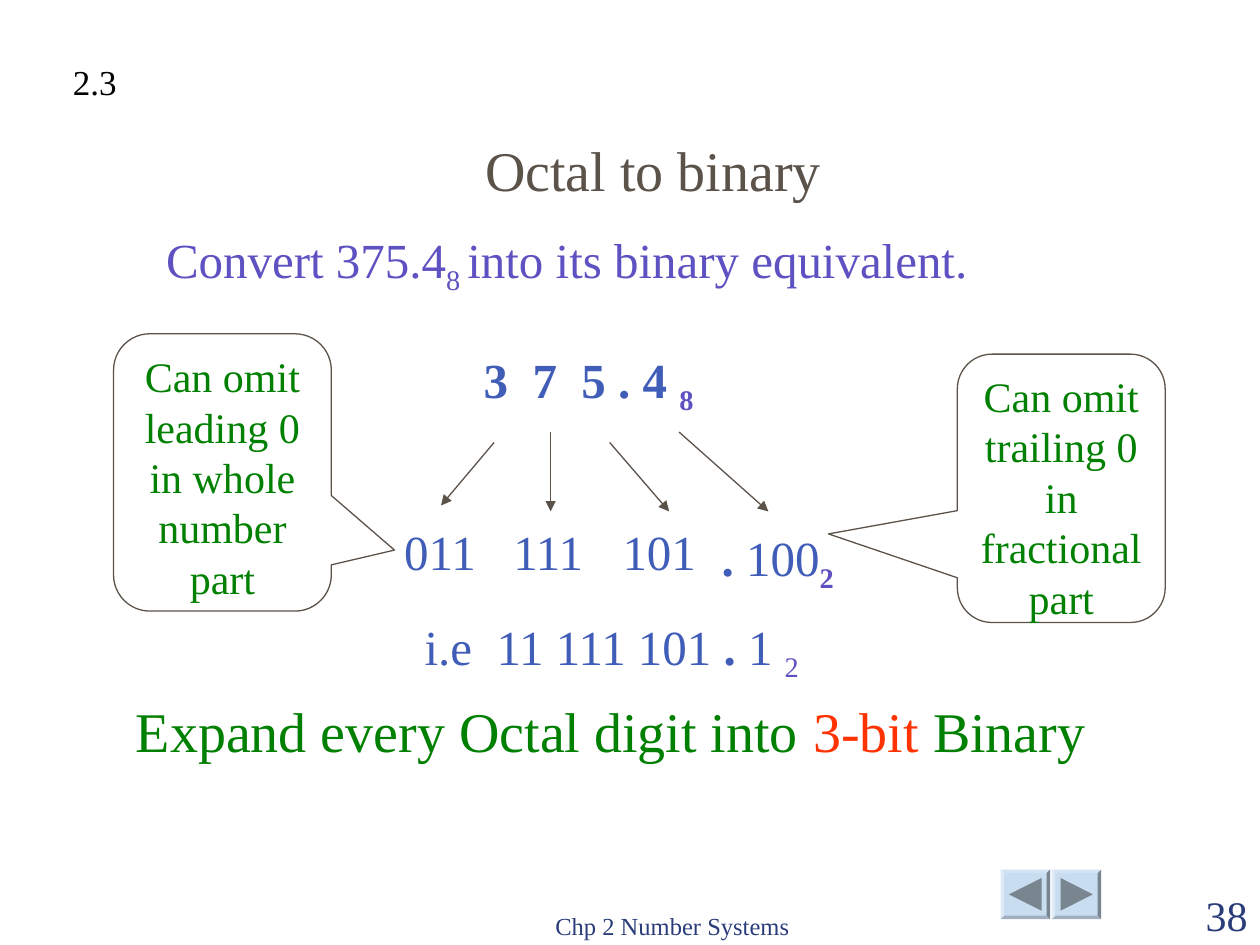
"""Build the slide on converting octal numbers to binary."""
from lxml import etree
from pptx import Presentation
from pptx import util as u
from pptx.dml.color import RGBColor
from pptx.enum import shapes, text
from pptx.oxml.ns import qn

BLUE, VIOLET, GREEN, BROWN, NAVY = "405DB8", "5E51C1", "008000", "5B5249", "2A3D7A"
LEFT, MID, RIGHT = text.PP_ALIGN.LEFT, text.PP_ALIGN.CENTER, text.PP_ALIGN.RIGHT
LOW = text.MSO_ANCHOR.BOTTOM


def tint(code):
    return RGBColor.from_string(code)


def write(runs, box=None, shape=None, size=28, color=BLUE, align=LEFT,
          anchor=text.MSO_ANCHOR.TOP, gap=None, wrap=True):
    """Write runs, each a string or (string, format), in a new box or a shape."""
    if shape is None:
        shape = deck.add_textbox(*map(u.Cm, box))
    frame = shape.text_frame
    frame.word_wrap, frame.vertical_anchor = wrap, anchor
    para = frame.paragraphs[0]
    para.alignment = align
    if gap:
        para.line_spacing = gap
    for item in [runs] if isinstance(runs, str) else runs:
        words, form = (item, {}) if isinstance(item, str) else item
        run = para.add_run()
        run.text = words
        run.font.name, run.font.size = "Times New Roman", u.Pt(size)
        run.font.bold = form.get("bold", False)
        run.font.color.rgb = tint(form.get("color", color))
        if form.get("sub"):
            run._r.get_or_add_rPr().set("baseline", "-25000")


show = Presentation()
show.slide_width, show.slide_height = u.Cm(25.4), u.Cm(19.05)
deck = show.slides.add_slide(show.slide_layouts[6]).shapes

# (left edge, x of the tip, x of the base)
for left, tip, base in [(20.17, 20.34, 21), (21.2, 22.03, 21.38)]:
    key = deck.add_shape(shapes.MSO_SHAPE.BEVEL, *map(u.Cm, (left, 17.53, 1, 1)))
    key.adjustments[0] = 0.07
    build = deck.build_freeform(u.Cm(tip), u.Cm(18.03))
    build.add_line_segments([(u.Cm(base), u.Cm(y)) for y in (17.7, 18.36)])
    mark = build.convert_to_shape()
    for part, fill in [(key, "C9DDF1"), (mark, "79858F")]:
        part.shadow.inherit = False
        part.fill.solid()
        part.fill.fore_color.rgb = tint(fill)
        part.line.fill.background()

write("Chp 2 Number Systems", (9.53, 17.81, 8.05, 1.27), size=14, color=NAVY,
      align=MID, anchor=LOW)
write("38", (22.86, 17.81, 2.54, 1.27), size=24, color=NAVY, align=RIGHT, anchor=LOW)
write("2.3", (1.22, 1.09, 1.4, 1.12), size=20, color="000000", wrap=False)
write("Octal to binary", (6.3, 2.31, 13.74, 1.9), size=32, color=BROWN,
      align=MID, anchor=LOW)
write(["Convert 375.4", ("8 ", {"sub": True}), "into its binary equivalent."],
      (3.1, 4.52, 21.39, 1.65), color=VIOLET, gap=0.9)

sub = {"color": VIOLET, "sub": True}
bold = {"bold": True}
write([("3  7  5 . 4 ", bold), ("8", sub | bold)], (9.5, 6.93, 5.79, 1.47), gap=0.9)
for col, bits in enumerate(["011", "111", "101"]):
    write(bits, (7.9 + 2.2 * col, 10.52, 2.2, 1.32), gap=0.9)
write([(".", bold), " 100", ("2", sub | bold)], (14.3, 10.52, 3.2, 1.47), gap=0.9)
write(["i.e  11 111 101 ", (".", bold), " 1 ", ("2", sub)],
      (8.31, 12.32, 9.02, 1.47), gap=0.9)
write(["Expand every Octal digit into ", ("3-bit", {"color": "FF3300"}), " Binary"],
      (2.49, 13.92, 20.4, 1.63), size=32, color=GREEN)

for ends in [(9.96, 8.92, 8.89, 10.19), (11.1, 8.71, 11.1, 10.31),
             (12.29, 8.92, 13.49, 10.31), (13.69, 8.71, 15.49, 10.31)]:
    arrow = deck.add_connector(shapes.MSO_CONNECTOR.STRAIGHT, *map(u.Cm, ends))
    arrow.line.color.rgb, arrow.line.width = tint(BROWN), u.Pt(0.75)
    etree.SubElement(arrow.line._get_or_add_ln(), qn("a:tailEnd"), type="triangle")
    etree.SubElement(arrow._element.spPr, qn("a:effectLst"))

for words, box, tip in [
    ("Can omit leading 0 in whole number part", (2.29, 6.73, 4.39, 5.59), (0.79, 0.28)),
    ("Can omit trailing 0 in fractional part", (19.3, 7.14, 4.19, 5.41), (-1.12, 0.17)),
]:
    note = deck.add_shape(shapes.MSO_SHAPE.ROUNDED_RECTANGULAR_CALLOUT, *map(u.Cm, box))
    note.adjustments[0], note.adjustments[1] = tip
    note.shadow.inherit = False
    note.fill.background()
    note.line.color.rgb, note.line.width = tint(BROWN), u.Pt(0.75)
    write(words, shape=note, size=24, color=GREEN, align=MID)

show.save("out.pptx")
